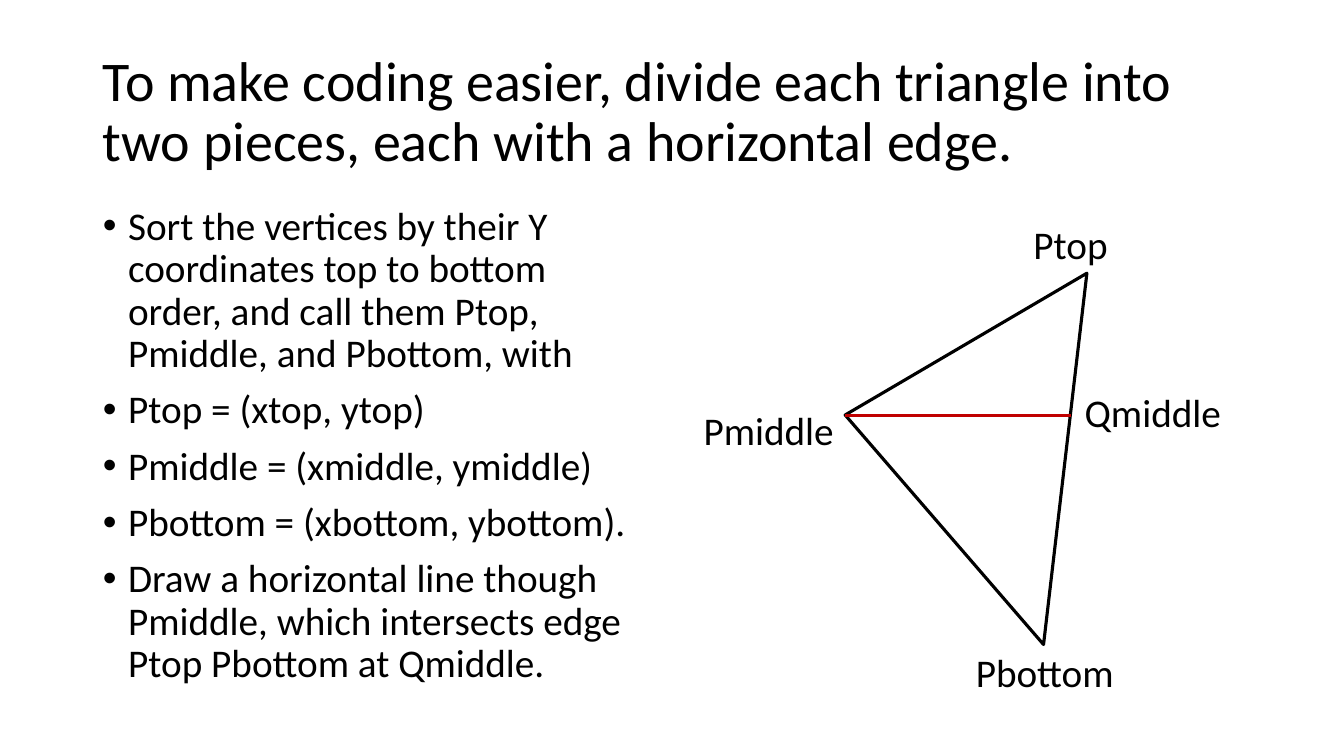
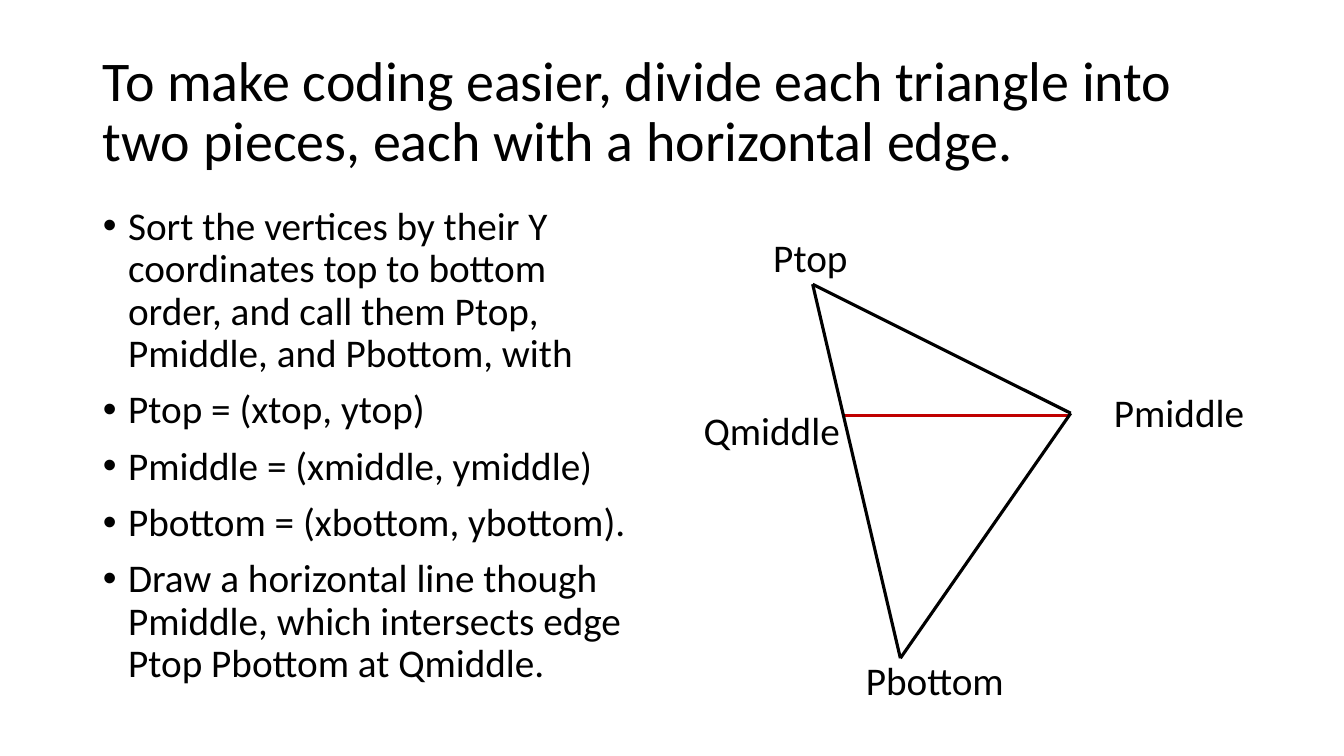
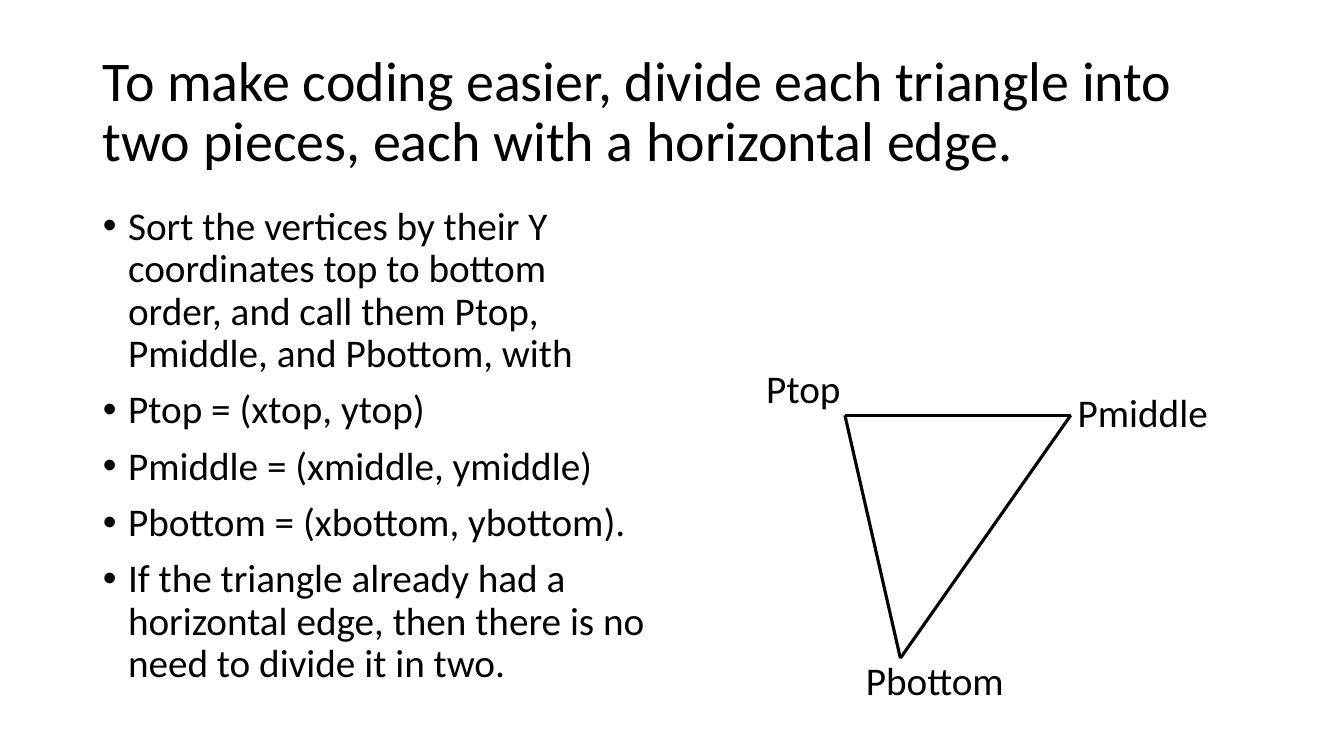
from dataclasses import dataclass

from lxml.etree import SubElement
from pptx import Presentation
from pptx.dml.color import RGBColor
from pptx.enum.shapes import MSO_CONNECTOR, MSO_SHAPE
from pptx.enum.text import MSO_ANCHOR, MSO_AUTO_SIZE, PP_ALIGN
from pptx.oxml.ns import qn
from pptx.util import Inches, Pt


@dataclass(frozen=True)
class Theme:
    font: str = "Calibri"
    ink: RGBColor = RGBColor(0x00, 0x00, 0x00)
    accent: RGBColor = RGBColor(0xC0, 0x00, 0x00)
    title_size: int = 40
    text_size: int = 28
    line_width: float = 2.25
    line_spacing: float = 0.9
    space_before: int = 10
    bullet_indent: float = 0.25


THEME = Theme()
SLIDE_SIZE = (13.33, 7.5)
TITLE_BOX = (0.92, 0.4, 11.5, 1.45)
BODY_BOX = (0.92, 2, 5.6, 5.03)
LABEL_HEIGHT = 0.57
LABEL_WIDTHS = {"Ptop": 0.95, "Pmiddle": 1.51, "Pbottom": 1.59, "Qmiddle": 1.57}

TITLE = "To make coding easier, divide each triangle into two pieces, each with a horizontal edge."
VERTEX_POINTS = [
    "Sort the vertices by their Y coordinates top to bottom order, and call them Ptop, Pmiddle, and Pbottom, with",
    "Ptop = (xtop, ytop)",
    "Pmiddle = (xmiddle, ymiddle)",
    "Pbottom = (xbottom, ybottom).",
]
DIVIDE = "Draw a horizontal line though Pmiddle, which intersects edge Ptop Pbottom at Qmiddle."
NO_DIVIDE = "If the triangle already had a horizontal edge, then there is no need to divide it in two."

# Labels give the left and top of each name; a cut is the dividing line.
SLIDES = [
    {
        "last_point": DIVIDE,
        "rotated_triangle": {"box": (8.94, 3.21, 2.78, 2.96), "rotation": 149.6, "apex": 0.804},
        "cut": ((8.38, 4.12), (10.62, 4.12)),
        "labels": {"Pmiddle": (6.88, 3.98), "Ptop": (10.15, 2.14),
                   "Pbottom": (9.58, 6.38), "Qmiddle": (10.66, 3.8)},
    },
    {
        "last_point": DIVIDE,
        "vertices": [(8.06, 2.82), (10.62, 4.1), (8.93, 6.53)],
        "cut": ((8.37, 4.12), (10.61, 4.12)),
        "labels": {"Qmiddle": (6.88, 3.98), "Ptop": (7.57, 2.27),
                   "Pbottom": (8.49, 6.46), "Pmiddle": (10.95, 3.8)},
    },
    {
        "last_point": NO_DIVIDE,
        "vertices": [(8.38, 4.12), (10.62, 4.12), (8.93, 6.53)],
        "labels": {"Ptop": (7.5, 3.57), "Pbottom": (8.49, 6.46), "Pmiddle": (10.59, 3.8)},
    },
]


def inches(values):
    return [Inches(value) for value in values]


def place(shape, box):
    shape.left, shape.top, shape.width, shape.height = inches(box)


def style_font(paragraph, size):
    paragraph.font.name = THEME.font
    paragraph.font.size = Pt(size)
    paragraph.font.color.rgb = THEME.ink


def style_line(shape, color):
    shape.line.color.rgb = color
    shape.line.width = Pt(THEME.line_width)


def prepare_layout(presentation):
    """Place the title and body once, for all slides to inherit."""
    layout = presentation.slide_layouts[1]
    for placeholder, box in zip(layout.placeholders, (TITLE_BOX, BODY_BOX)):
        place(placeholder, box)
    return layout


def add_title(slide):
    frame = slide.shapes.title.text_frame
    frame.text = TITLE
    frame.vertical_anchor = MSO_ANCHOR.MIDDLE
    frame.auto_size = MSO_AUTO_SIZE.NONE
    paragraph = frame.paragraphs[0]
    paragraph.alignment = PP_ALIGN.LEFT
    paragraph.line_spacing = THEME.line_spacing
    style_font(paragraph, THEME.title_size)


def add_points(slide, points):
    frame = slide.placeholders[1].text_frame
    frame.text = "\n".join(points)
    frame.auto_size = MSO_AUTO_SIZE.NONE
    indent = Inches(THEME.bullet_indent)
    for paragraph in frame.paragraphs:
        paragraph.line_spacing = THEME.line_spacing
        paragraph.space_before = Pt(THEME.space_before)
        style_font(paragraph, THEME.text_size)
        properties = paragraph._p.get_or_add_pPr()
        properties.set("marL", str(indent))
        properties.set("indent", str(-indent))


def add_line(slide, start, end, color):
    line = slide.shapes.add_connector(MSO_CONNECTOR.STRAIGHT, *inches(start + end))
    style_line(line, color)
    SubElement(line._element.spPr, qn("a:effectLst"))


def add_rotated_triangle(slide, box, rotation, apex):
    triangle = slide.shapes.add_shape(MSO_SHAPE.ISOSCELES_TRIANGLE, *inches(box))
    triangle.adjustments[0] = apex
    triangle.rotation = rotation
    triangle.shadow.inherit = False
    triangle.fill.background()
    style_line(triangle, THEME.ink)


def add_label(slide, name, position):
    box = (*position, LABEL_WIDTHS[name], LABEL_HEIGHT)
    frame = slide.shapes.add_textbox(*inches(box)).text_frame
    frame.word_wrap = False
    frame.auto_size = MSO_AUTO_SIZE.SHAPE_TO_FIT_TEXT
    frame.text = name
    style_font(frame.paragraphs[0], THEME.text_size)


def add_slide(presentation, layout, content):
    slide = presentation.slides.add_slide(layout)
    add_title(slide)
    add_points(slide, VERTEX_POINTS + [content["last_point"]])
    if "rotated_triangle" in content:
        add_rotated_triangle(slide, **content["rotated_triangle"])
    if "cut" in content:
        add_line(slide, *content["cut"], THEME.accent)
    vertices = content.get("vertices", [])
    for start, end in zip(vertices, vertices[1:] + vertices[:1]):
        add_line(slide, start, end, THEME.ink)
    for name, position in content["labels"].items():
        add_label(slide, name, position)


def main():
    presentation = Presentation()
    presentation.slide_width, presentation.slide_height = inches(SLIDE_SIZE)
    layout = prepare_layout(presentation)
    for content in SLIDES:
        add_slide(presentation, layout, content)
    presentation.save("out.pptx")


if __name__ == "__main__":
    main()
